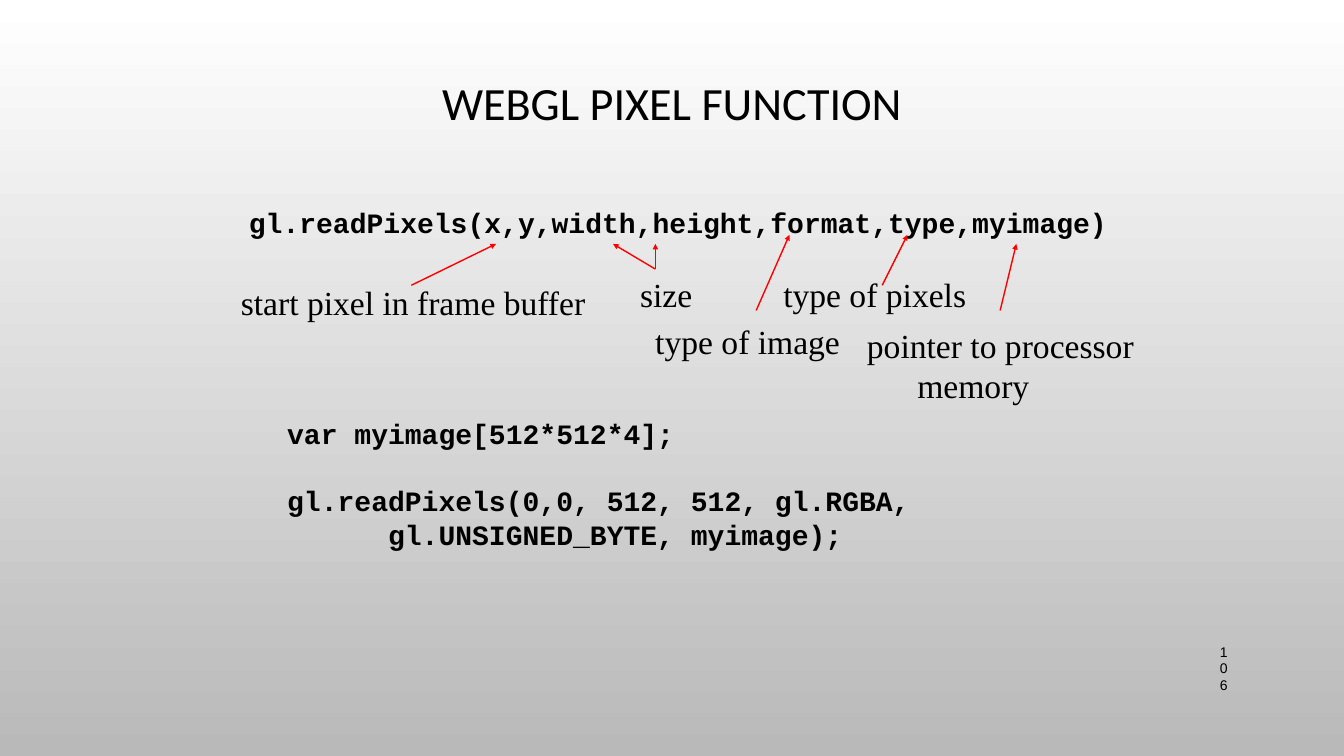
from pptx import Presentation
from pptx.util import Inches, Pt
from pptx.dml.color import RGBColor
from pptx.enum.shapes import MSO_CONNECTOR
from pptx.enum.text import MSO_ANCHOR, MSO_AUTO_SIZE, PP_ALIGN
from pptx.oxml.ns import qn
from lxml.etree import SubElement

COLORS = {"text": "000000", "arrow": "FF0000", "top": "FFFFFF", "bottom": "B9B9B9"}
TITLE = {"name": "Calibri", "size": Pt(33), "bold": False}
CODE = {"name": "Courier New", "size": Pt(20), "bold": True}
LABEL = {"name": "Times New Roman", "size": Pt(24), "bold": False}
NUMBER = {"name": "Arial", "size": Pt(10), "bold": False}


def write(tf, lines, style):
    for i, line in enumerate(lines):
        p = tf.paragraphs[0] if i == 0 else tf.add_paragraph()
        r = p.add_run()
        r.text = line
        for key, value in style.items():
            setattr(r.font, key, value)
        r.font.color.rgb = RGBColor.from_string(COLORS["text"])


def add_text(box, lines, style):
    tf = s.shapes.add_textbox(*map(Inches, box)).text_frame
    tf.word_wrap = False
    tf.auto_size = MSO_AUTO_SIZE.SHAPE_TO_FIT_TEXT
    write(tf, lines, style)
    return tf


prs = Presentation()
prs.slide_width, prs.slide_height = Inches(13.33), Inches(7.5)
s = prs.slides.add_slide(prs.slide_layouts[5])

# Background, shaded from top to bottom
fill = s.background.fill
fill.gradient()
fill.gradient_angle = 270
for stop, name, position in zip(fill.gradient_stops, ("top", "bottom"), (0, 1)):
    stop.color.rgb = RGBColor.from_string(COLORS[name])
    stop.position = position

# Title
title = s.shapes.title
title.left, title.top, title.width, title.height = map(Inches, (1, 0.17, 11.33, 1.75))
tf = title.text_frame
tf.vertical_anchor = MSO_ANCHOR.MIDDLE
write(tf, ["WEBGL PIXEL FUNCTION"], TITLE)
tf.paragraphs[0].alignment = PP_ALIGN.CENTER
tf.paragraphs[0].line_spacing = 0.9

# Function signature
add_text((2.37, 1.99, 8.79, 0.44),
         ["gl.readPixels(x,y,width,height,format,type,myimage)"], CODE)

# Argument labels
labels = [
    ((2.29, 2.75, 3.62, 0.5), "start pixel in frame buffer"),
    ((6.25, 2.67, 0.72, 0.5), "size"),
    ((6.4, 3.13, 2.05, 0.5), "type of image"),
    ((7.67, 2.67, 2.05, 0.5), "type of pixels"),
]
for box, label in labels:
    add_text(box, [label], LABEL)
tf = add_text((8.5, 3.17, 2.96, 0.91), ["pointer to processor", "memory"], LABEL)
tf.paragraphs[1]._p.get_or_add_pPr().set("marL", str(Inches(0.5)))

# Arrows from labels to arguments
arrows = [
    (4.08, 2.83, 4.92, 2.42),
    (6.5, 2.67, 6.5, 2.42),
    (6.5, 2.67, 6.08, 2.42),
    (7.5, 3.08, 7.83, 2.33),
    (8.75, 2.83, 9, 2.33),
    (9.92, 3.08, 10.08, 2.42),
]
for ends in arrows:
    arrow = s.shapes.add_connector(MSO_CONNECTOR.STRAIGHT, *map(Inches, ends))
    arrow.line.color.rgb = RGBColor.from_string(COLORS["arrow"])
    arrow.line.width = Pt(1)
    SubElement(arrow.line._get_or_add_ln(), qn("a:tailEnd"),
               type="triangle", w="sm", len="sm")
    SubElement(arrow._element.spPr, qn("a:effectLst"))

# Example call
tf = add_text((2.75, 4.08, 6.6, 1.45),
              ["var myimage[512*512*4];",
               "gl.readPixels(0,0, 512, 512, gl.RGBA,",
               "      gl.UNSIGNED_BYTE, myimage);"], CODE)
tf.paragraphs[1].space_before = Pt(24)

# Slide number, indented so that its digits stack
tf = s.shapes.add_textbox(*map(Inches, (11.5, 6.43, 0.84, 0.4))).text_frame
tf.word_wrap = True
tf.vertical_anchor = MSO_ANCHOR.MIDDLE
write(tf, ["106"], NUMBER)
tf.paragraphs[0].level = 1
tf.paragraphs[0]._p.get_or_add_pPr().set("marL", str(Inches(0.5)))

prs.save("out.pptx")
